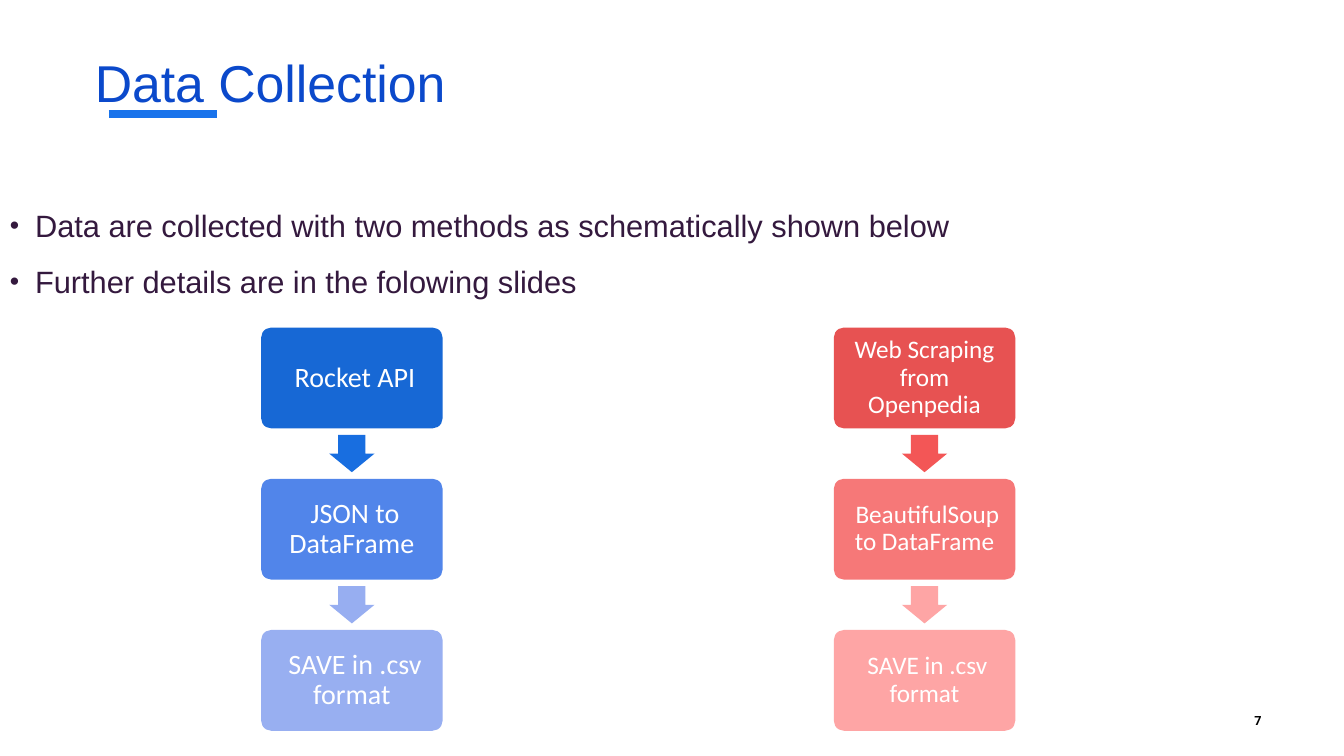
from lxml import etree
from pptx import Presentation
from pptx.dml.color import RGBColor
from pptx.enum.shapes import MSO_CONNECTOR, MSO_SHAPE
from pptx.enum.text import MSO_ANCHOR, MSO_AUTO_SIZE, PP_ALIGN
from pptx.oxml.ns import qn
from pptx.util import Inches, Pt

LEFT, CENTER, RIGHT = PP_ALIGN.LEFT, PP_ALIGN.CENTER, PP_ALIGN.RIGHT
TOP, MIDDLE = MSO_ANCHOR.TOP, MSO_ANCHOR.MIDDLE
NO_AUTOFIT = MSO_AUTO_SIZE.NONE
STRAIGHT = MSO_CONNECTOR.STRAIGHT
ROUNDED_RECTANGLE = MSO_SHAPE.ROUNDED_RECTANGLE
DOWN_ARROW = MSO_SHAPE.DOWN_ARROW

WHITE = RGBColor(0xFF, 0xFF, 0xFF)
BLACK = RGBColor(0x00, 0x00, 0x00)
TITLE_BLUE = RGBColor(0x0B, 0x49, 0xCB)
ACCENT_BLUE = RGBColor(0x19, 0x73, 0xEB)
BODY_PURPLE = RGBColor(0x34, 0x19, 0x3E)
BLUE_STEPS = [RGBColor(0x17, 0x68, 0xD5), RGBColor(0x51, 0x85, 0xEA), RGBColor(0x98, 0xAF, 0xF1)]
BLUE_ARROWS = [RGBColor(0x18, 0x6E, 0xE0), RGBColor(0x97, 0xAE, 0xF1)]
RED_STEPS = [RGBColor(0xE7, 0x52, 0x52), RGBColor(0xF6, 0x78, 0x78), RGBColor(0xFE, 0xA5, 0xA5)]
RED_ARROWS = [RGBColor(0xF3, 0x56, 0x56), RGBColor(0xFE, 0xA5, 0xA5)]

STEP_WIDTH, STEP_HEIGHT, STEP_PITCH = 1.8, 1, 1.5
ARROW_WIDTH, ARROW_HEIGHT = 0.45, 0.37


def set_frame(frame, anchor, inset=None):
    formats = {"word_wrap": True, "auto_size": NO_AUTOFIT, "vertical_anchor": anchor}
    if inset is not None:
        for side in ("left", "top", "right", "bottom"):
            formats[f"margin_{side}"] = Inches(inset)
    for name, value in formats.items():
        setattr(frame, name, value)


def write_paragraph(paragraph, text, font, size, color, **formats):
    paragraph.text = text
    for name, value in formats.items():
        setattr(paragraph, name, value)
    for name, value in {"name": font, "size": Pt(size)}.items():
        setattr(paragraph.runs[0].font, name, value)
    paragraph.runs[0].font.color.rgb = color


def add_bullet(paragraph):
    properties = paragraph._p.get_or_add_pPr()
    properties.set("marL", str(Inches(0.25)))
    properties.set("indent", str(Inches(-0.25)))
    etree.SubElement(properties, qn("a:buSzPct"), val="87000")
    etree.SubElement(properties, qn("a:buFont"), typeface="Arial")
    etree.SubElement(properties, qn("a:buChar"), char="•")


def add_title(slide, left, top, width, height):
    underline = slide.shapes.add_connector(
        STRAIGHT, Inches(left + 0.24), Inches(top + 0.54), Inches(left + 1.31), Inches(top + 0.54))
    underline.line.color.rgb = ACCENT_BLUE
    underline.line.width = Pt(6)
    etree.SubElement(underline._element.spPr, qn("a:effectLst"))
    title = slide.shapes.title
    box = {"left": left, "top": top, "width": width, "height": height}
    for name, value in box.items():
        setattr(title, name, Inches(value))
    set_frame(title.text_frame, MIDDLE)
    write_paragraph(title.text_frame.paragraphs[0], "Data Collection", "Arial", 37, TITLE_BLUE,
                    alignment=LEFT, line_spacing=0.7)


def add_bullets(slide, left, top, width, height, lines):
    box = slide.shapes.add_textbox(Inches(left), Inches(top), Inches(width), Inches(height))
    frame = box.text_frame
    set_frame(frame, TOP)
    for index, line in enumerate(lines):
        paragraph = frame.add_paragraph() if index else frame.paragraphs[0]
        add_bullet(paragraph)
        write_paragraph(paragraph, line, "Arial", 22, BODY_PURPLE, space_before=Pt(14 if index else 0))


def add_filled_shape(shapes, kind, left, top, width, height, color, adjustments):
    shape = shapes.add_shape(kind, Inches(left), Inches(top), Inches(width), Inches(height))
    shape.shadow.inherit = False
    shape.fill.solid()
    shape.fill.fore_color.rgb = color
    shape.line.fill.background()
    for index, value in enumerate(adjustments):
        shape.adjustments[index] = value
    return shape


def add_flow(slide, left, top, steps, step_colors, arrow_colors, size, inset):
    shapes = slide.shapes.add_group_shape().shapes
    for index, (text, color) in enumerate(zip(steps, step_colors)):
        step = add_filled_shape(shapes, ROUNDED_RECTANGLE, left, top + index * STEP_PITCH,
                                STEP_WIDTH, STEP_HEIGHT, color, [0.1])
        set_frame(step.text_frame, MIDDLE, inset)
        write_paragraph(step.text_frame.paragraphs[0], text, "Calibri", size, WHITE,
                        alignment=CENTER, line_spacing=0.9)
    arrow_left = left + (STEP_WIDTH - ARROW_WIDTH) / 2
    arrow_top = top + STEP_HEIGHT + (STEP_PITCH - STEP_HEIGHT - ARROW_HEIGHT) / 2
    for index, color in enumerate(arrow_colors):
        add_filled_shape(shapes, DOWN_ARROW, arrow_left, arrow_top + index * STEP_PITCH,
                         ARROW_WIDTH, ARROW_HEIGHT, color, [0.6, 0.5])


def add_page_number(slide, left, top, width, height):
    box = slide.shapes.add_textbox(Inches(left), Inches(top), Inches(width), Inches(height))
    set_frame(box.text_frame, MIDDLE)
    paragraph = box.text_frame.paragraphs[0]
    write_paragraph(paragraph, "7", "Roboto", 9, BLACK, alignment=RIGHT)
    paragraph.runs[0].font.bold = True


def main():
    presentation = Presentation()
    presentation.slide_width = Inches(13.33)
    presentation.slide_height = Inches(7.5)
    slide = presentation.slides.add_slide(presentation.slide_layouts[5])
    add_title(slide, 0.84, 0.59, 11.5, 0.6)
    add_page_number(slide, 11.82, 6.95, 0.79, 0.4)
    add_bullets(slide, 0, 2, 11.5, 4.76, [
        "Data are collected with two methods as schematically shown below",
        "Further details are in the folowing slides",
    ])
    add_flow(slide, 2.59, 3.25, [" Rocket API", " JSON to DataFrame", " SAVE in .csv format"],
             BLUE_STEPS, BLUE_ARROWS, 20, 0.08)
    add_flow(slide, 8.27, 3.25,
             ["Web Scraping from Openpedia", " BeautifulSoup to DataFrame", " SAVE in .csv format"],
             RED_STEPS, RED_ARROWS, 18, 0.07)
    presentation.save("out.pptx")


if __name__ == "__main__":
    main()
